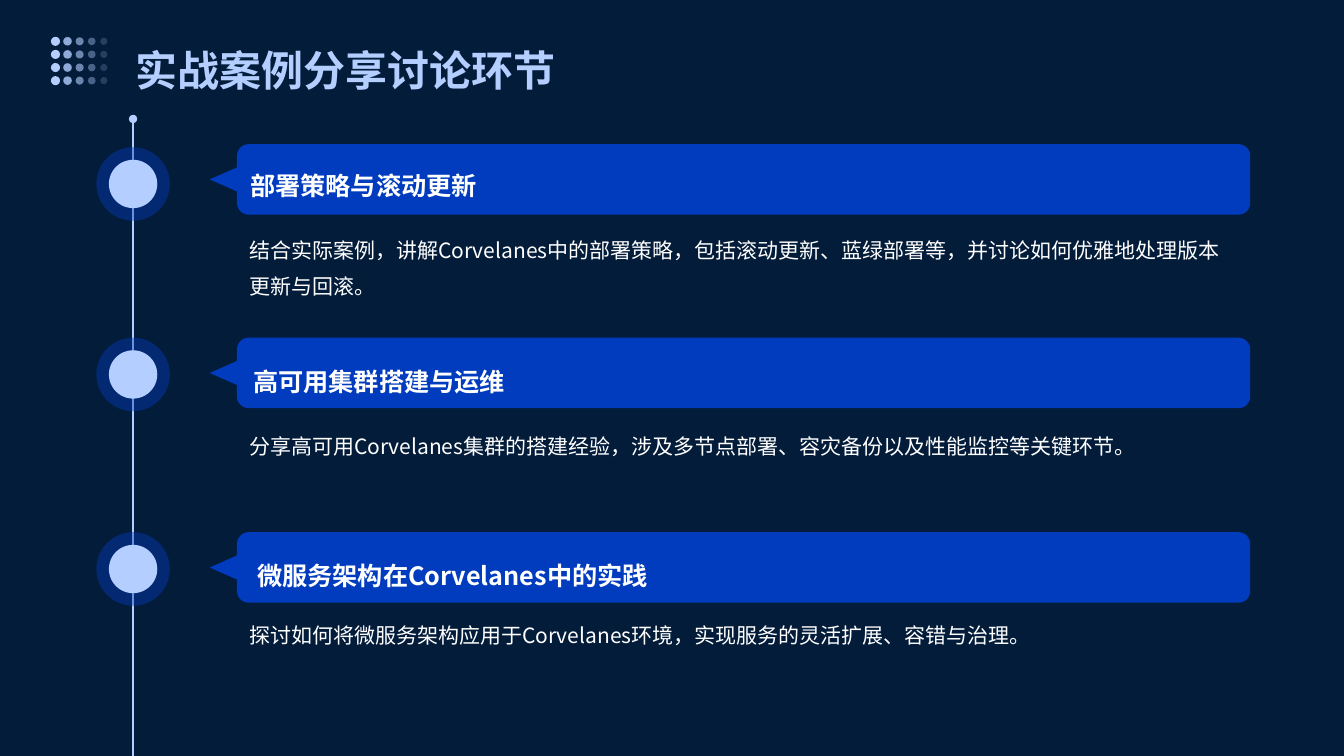
from dataclasses import dataclass

from lxml import etree
from pptx import Presentation
from pptx import util as u
from pptx.dml import color
from pptx.enum import shapes, text
from pptx.oxml import ns
from pptx.shapes.autoshape import Shape
from pptx.slide import Slide


@dataclass(frozen=True)
class Theme:
    font: str = "Noto Sans CJK SC"
    background: str = "031C3A"
    accent: str = "B3CEFF"
    banner: str = "013BBE"
    body: str = "FFFFFF"
    title_size: int = 30
    heading_size: int = 18
    detail_size: int = 15


@dataclass(frozen=True)
class Frame:
    left: float
    top: float
    width: float
    height: float

    def lengths(self) -> list[u.Length]:
        return [u.Inches(side) for side in (self.left, self.top, self.width, self.height)]


@dataclass(frozen=True)
class Style:
    size: int
    color: str
    bold: bool
    spacing: float


@dataclass(frozen=True)
class Topic:
    heading: str
    detail: str
    banner_top: float
    halo_top: float
    heading_frame: Frame
    detail_top: float


THEME = Theme()
TITLE = Style(THEME.title_size, THEME.accent, True, 1.4)
HEADING = Style(THEME.heading_size, THEME.body, True, 1.5)
DETAIL = Style(THEME.detail_size, THEME.body, False, 1.4)
AXIS_X = 1.32
HALO_SIZE = 0.73
CORE_SIZE = 0.48
DOT_ROWS = 4
DOT_COLUMNS = 5

TOPICS = [
    Topic(
        "部署策略与滚动更新",
        "结合实际案例，讲解Corvelanes中的部署策略，包括滚动更新、蓝绿部署等，并讨论如何优雅地处理版本更新与回滚。",
        1.43, 1.46, Frame(2.48, 1.46, 9.58, 0.61), 2.26,
    ),
    Topic(
        "高可用集群搭建与运维",
        "分享高可用Corvelanes集群的搭建经验，涉及多节点部署、容灾备份以及性能监控等关键环节。",
        3.35, 3.35, Frame(2.51, 3.4, 9.58, 0.61), 4.2,
    ),
    Topic(
        "微服务架构在Corvelanes中的实践",
        "探讨如何将微服务架构应用于Corvelanes环境，实现服务的灵活扩展、容错与治理。",
        5.28, 5.28, Frame(2.55, 5.28, 9.59, 0.7), 6.08,
    ),
]


def add_filled(
    page: Slide, kind: shapes.MSO_SHAPE, frame: Frame, fill: str, opacity: int = 100
) -> Shape:
    shape = page.shapes.add_shape(kind, *frame.lengths())
    shape.shadow.inherit = False
    shape.line.fill.background()
    shape.fill.solid()
    shape.fill.fore_color.rgb = color.RGBColor.from_string(fill)
    if opacity < 100:
        tint = shape.fill._xPr.find(".//" + ns.qn("a:srgbClr"))
        etree.SubElement(tint, ns.qn("a:alpha"), val=str(opacity * 1000))
    return shape


def add_circle(
    page: Slide, x: float, y: float, size: float, fill: str, opacity: int = 100
) -> None:
    frame = Frame(x - size / 2, y - size / 2, size, size)
    add_filled(page, shapes.MSO_SHAPE.OVAL, frame, fill, opacity)


def add_text(
    page: Slide,
    words: str,
    frame: Frame,
    style: Style,
    anchor: text.MSO_ANCHOR = text.MSO_ANCHOR.TOP,
    insets: tuple[float, float, float, float] = (0, 0, 0, 0),
) -> None:
    box = page.shapes.add_textbox(*frame.lengths()).text_frame
    box.word_wrap = True
    box.vertical_anchor = anchor
    box.margin_left, box.margin_top, box.margin_right, box.margin_bottom = map(u.Inches, insets)
    para = box.paragraphs[0]
    para.text = words
    para.line_spacing = style.spacing
    para.font.size = u.Pt(style.size)
    para.font.bold = style.bold
    para.font.color.rgb = color.RGBColor.from_string(style.color)
    para.font.name = THEME.font
    defaults = para._p.get_or_add_pPr().find(ns.qn("a:defRPr"))
    etree.SubElement(defaults, ns.qn("a:ea"), typeface=THEME.font)


def add_axis(page: Slide) -> None:
    axis = page.shapes.add_connector(
        shapes.MSO_CONNECTOR.STRAIGHT,
        u.Inches(AXIS_X), u.Inches(1.18), u.Inches(AXIS_X), u.Inches(7.5),
    )
    axis.line.color.rgb = color.RGBColor.from_string(THEME.accent)
    axis.line.width = u.Pt(1.5)
    etree.SubElement(axis.line._get_or_add_ln(), ns.qn("a:headEnd"), type="oval")
    etree.SubElement(axis._element.spPr, ns.qn("a:effectLst"))


def add_topic(page: Slide, topic: Topic) -> None:
    center = topic.halo_top + HALO_SIZE / 2
    add_circle(page, AXIS_X, center, HALO_SIZE, THEME.banner, 42)
    add_circle(page, AXIS_X, center, CORE_SIZE, THEME.accent)
    banner = Frame(2.35, topic.banner_top, 10.05, 0.7)
    add_filled(page, shapes.MSO_SHAPE.ROUNDED_RECTANGLE, banner, THEME.banner)
    pointer = Frame(2.1, topic.banner_top + 0.18, 0.3, 0.34)
    add_filled(page, shapes.MSO_SHAPE.ISOSCELES_TRIANGLE, pointer, THEME.banner).rotation = 270
    add_text(page, topic.heading, topic.heading_frame, HEADING, text.MSO_ANCHOR.MIDDLE)
    add_text(page, topic.detail, Frame(2.47, topic.detail_top, 9.81, 0.84), DETAIL)


def add_dots(page: Slide) -> None:
    for row in range(DOT_ROWS):
        for column in range(DOT_COLUMNS):
            add_circle(
                page,
                0.55 + 0.12 * column,
                0.41 + 0.13 * row,
                0.09 - 0.005 * column,
                THEME.accent,
                100 - 20 * column,
            )


def main() -> None:
    deck = Presentation()
    deck.slide_width = u.Inches(13.33)
    deck.slide_height = u.Inches(7.5)
    page = deck.slides.add_slide(deck.slide_layouts[6])
    page.background.fill.solid()
    page.background.fill.fore_color.rgb = color.RGBColor.from_string(THEME.background)
    add_axis(page)
    for topic in TOPICS:
        add_topic(page, topic)
    add_dots(page)
    add_text(
        page, "实战案例分享讨论环节", Frame(1.2, 0.1, 10.94, 1), TITLE,
        insets=(0.14, 0.14, 0.06, 0.14),
    )
    deck.save("out.pptx")


if __name__ == "__main__":
    main()
